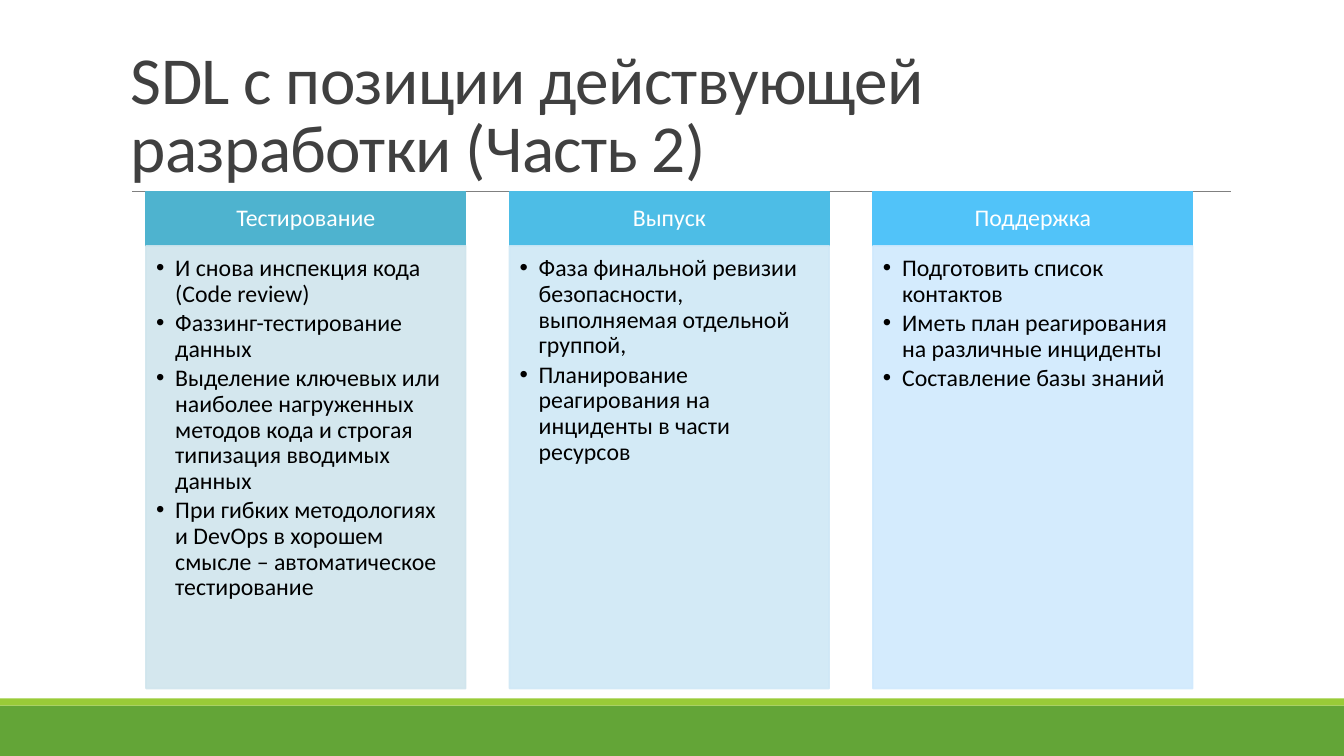
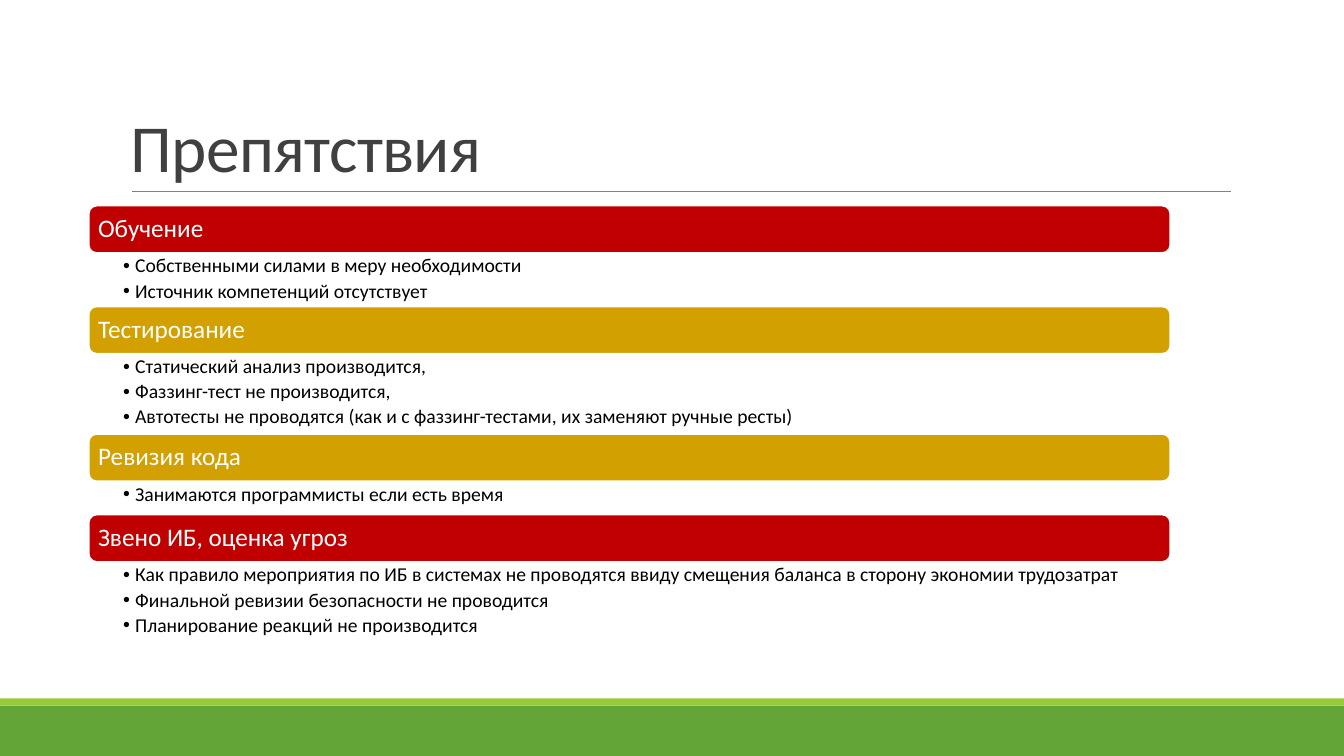
from lxml.etree import SubElement
from pptx import Presentation
from pptx.dml.color import RGBColor
from pptx.enum.shapes import MSO_CONNECTOR as Connector, MSO_SHAPE as Shape
from pptx.enum.text import MSO_ANCHOR as Anchor, PP_ALIGN as Align
from pptx.oxml.ns import qn
from pptx.util import Inches, Pt

WHITE = RGBColor(0xFF, 0xFF, 0xFF)
BLACK = RGBColor(0x00, 0x00, 0x00)
TITLE_GREY = RGBColor(0x40, 0x40, 0x40)
RULE_GREY = RGBColor(0x80, 0x80, 0x80)
GREEN = RGBColor(0x63, 0xA5, 0x37)
LIME = RGBColor(0x99, 0xCB, 0x38)
RED = RGBColor(0xC0, 0x00, 0x00)
AMBER = RGBColor(0xD2, 0xA0, 0x00)
TEAL, PALE_TEAL = RGBColor(0x4E, 0xB3, 0xCF), RGBColor(0xD0, 0xE5, 0xED)
CYAN, PALE_CYAN = RGBColor(0x4D, 0xBD, 0xE6), RGBColor(0xCF, 0xE8, 0xF6)
SKY, PALE_SKY = RGBColor(0x51, 0xC3, 0xF9), RGBColor(0xD0, 0xE9, 0xFD)

COLUMNS, ROWS = 160, 90
RULE_ROW = 22.8

PHASES = [
    ("Тестирование", TEAL, PALE_TEAL, [
        "И снова инспекция кода (Code review)",
        "Фаззинг-тестирование данных",
        "Выделение ключевых или наиболее нагруженных методов кода и строгая типизация вводимых данных",
        "При гибких методологиях и DevOps в хорошем смысле – автоматическое тестирование",
    ]),
    ("Выпуск", CYAN, PALE_CYAN, [
        "Фаза финальной ревизии безопасности, выполняемая отдельной группой,",
        "Планирование реагирования на инциденты в части ресурсов",
    ]),
    ("Поддержка", SKY, PALE_SKY, [
        "Подготовить список контактов",
        "Иметь план реагирования на различные инциденты",
        "Составление базы знаний",
    ]),
]

OBSTACLES = [
    ("Обучение", RED, 6.36, [
        "Собственными силами в меру необходимости",
        "Источник компетенций отсутствует",
    ]),
    ("Тестирование", AMBER, 9.54, [
        "Статический анализ производится,",
        "Фаззинг-тест не производится,",
        "Автотесты не проводятся (как и с фаззинг-тестами, их заменяют ручные ресты)",
    ]),
    ("Ревизия кода", AMBER, 3.96, [
        "Занимаются программисты если есть время",
    ]),
    ("Звено ИБ, оценка угроз", RED, 12.72, [
        "Как правило мероприятия по ИБ в системах не проводятся ввиду смещения баланса в сторону экономии трудозатрат",
        "Финальной ревизии безопасности не проводится",
        "Планирование реакций не производится",
    ]),
]


class Deck:
    """Holds the shared style and the slide being filled, on a 160 by 90 grid."""

    font = "Calibri"

    def __init__(self):
        self.prs = Presentation()
        self.prs.slide_width, self.prs.slide_height = Inches(13.33), Inches(7.5)
        self.shapes = None

    def x(self, columns):
        return round(self.prs.slide_width * columns / COLUMNS)

    def y(self, rows):
        return round(self.prs.slide_height * rows / ROWS)

    def box(self, left, top, width, height):
        return self.x(left), self.y(top), self.x(width), self.y(height)

    def slide(self, title):
        self.shapes = self.prs.slides.add_slide(self.prs.slide_layouts[6]).shapes
        self.block((0, 84, COLUMNS, 6), GREEN)
        self.block((0, 83.16, COLUMNS, 0.84), LIME)
        self.rule(15.72, 146.52, RULE_ROW)
        heading = self.label((14.4, 3.72, 132, 19.08))
        self.put_text(heading, [title], 48, TITLE_GREY, (0.1, 0.05, 0.1, 0.05),
                      anchor=Anchor.BOTTOM, leading=0.85, tracking=-50)

    def rule(self, start, end, row):
        line = self.shapes.add_connector(
            Connector.STRAIGHT, self.x(start), self.y(row), self.x(end), self.y(row))
        line.line.color.rgb, line.line.width = RULE_GREY, Pt(0.5)
        SubElement(line._element.spPr, qn("a:effectLst"))

    def block(self, area, fill, border=None, kind=Shape.RECTANGLE, opacity=None):
        block = self.shapes.add_shape(kind, *self.box(*area))
        block.shadow.inherit = False
        block.fill.solid()
        block.fill.fore_color.rgb = fill
        if border is None:
            block.line.fill.background()
        else:
            block.line.color.rgb, block.line.width = border, Pt(1.25)
        if opacity is not None:
            for colour in block._element.spPr.iter(qn("a:srgbClr")):
                SubElement(colour, qn("a:alpha"), val=str(opacity * 1000))
        return block

    def label(self, area):
        return self.shapes.add_textbox(*self.box(*area))

    def put_text(self, holder, lines, size, colour, insets, anchor=Anchor.TOP,
                 align=Align.LEFT, leading=0.9, after=0, hang=0, tracking=0):
        frame = holder.text_frame
        frame.word_wrap, frame.vertical_anchor = True, anchor
        (frame.margin_left, frame.margin_top,
         frame.margin_right, frame.margin_bottom) = map(Inches, insets)
        frame.text = "\n".join(lines)
        for paragraph in frame.paragraphs:
            paragraph.alignment, paragraph.line_spacing = align, leading
            paragraph.space_after = Pt(after)
            if hang:
                self.bullet(paragraph, Inches(hang))
            font = paragraph.font
            font.name, font.size, font.color.rgb = self.font, Pt(size), colour
            if tracking:
                paragraph._p.pPr.find(qn("a:defRPr")).set("spc", str(tracking))

    def bullet(self, paragraph, hang):
        properties = paragraph._p.get_or_add_pPr()
        properties.set("marL", str(hang))
        properties.set("indent", str(-hang))
        SubElement(properties, qn("a:buFont"), typeface="Arial")
        SubElement(properties, qn("a:buChar"), char="•")

    def phase(self, left, width, name, strong, pale, steps):
        head_height, body_height = 6.48, 52.68
        head = self.block((left, RULE_ROW, width, head_height), strong, strong)
        self.put_text(head, [name], 17, WHITE, (0.13, 0.08, 0.13, 0.08),
                      anchor=Anchor.MIDDLE, align=Align.CENTER)
        body = self.block((left, RULE_ROW + head_height, width, body_height),
                          pale, pale, opacity=90)
        self.put_text(body, steps, 17, BLACK, (0.1, 0.1, 0.13, 0.15), after=2.55, hang=0.19)

    def obstacle(self, top, name, colour, height, details):
        left, width, bar_height = 10.56, 128.76, 5.64
        bar = self.block((left, top, width, bar_height), colour, WHITE,
                         Shape.ROUNDED_RECTANGLE)
        self.put_text(bar, [name], 18, WHITE, (0.07, 0.07, 0.07, 0.07), anchor=Anchor.MIDDLE)
        notes = self.label((left, top + bar_height, width, height))
        self.put_text(notes, details, 14, BLACK, (0.34, 0.03, 0.14, 0.03), after=2.8, hang=0.12)
        return top + bar_height + height


def main():
    deck = Deck()

    deck.slide("SDL с позиции действующей разработки (Часть 2)")
    first_left, width, gap = 17.4, 38.04, 5.23
    for index, phase in enumerate(PHASES):
        deck.phase(first_left + index * (width + gap), width, *phase)

    deck.slide("Препятствия")
    top = 24.48
    for obstacle in OBSTACLES:
        top = deck.obstacle(top, *obstacle)

    deck.prs.save("out.pptx")


if __name__ == "__main__":
    main()
